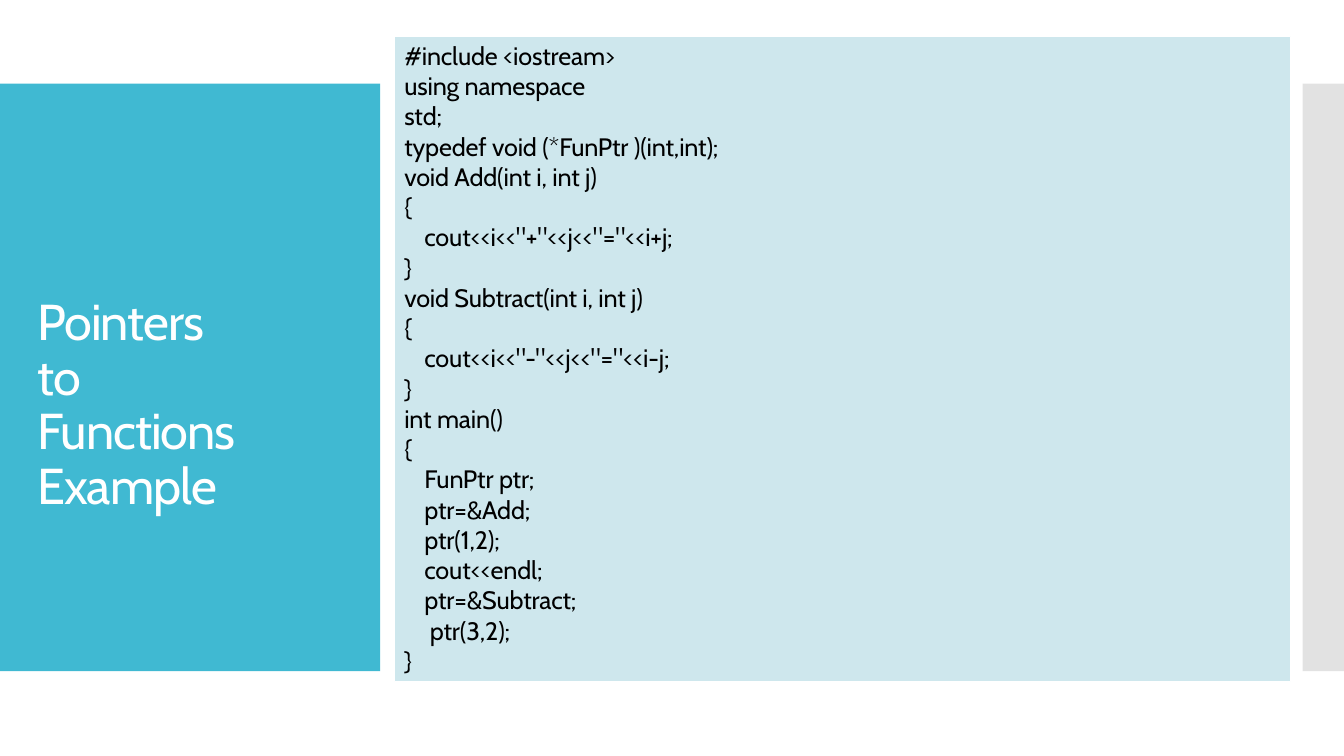
from dataclasses import dataclass

from lxml.etree import SubElement
from pptx import Presentation
from pptx.dml.color import RGBColor as RGB
from pptx.enum.shapes import MSO_SHAPE as Shape
from pptx.oxml.ns import qn
from pptx.util import Inches, Pt


@dataclass(frozen=True)
class Theme:
    """Colours, font and type sizes of the slide."""
    font: str = "Cabin"
    title_size: int = 36
    code_size: int = 18
    accent: str = "40B9D2"
    edge: str = "C7C7C7"
    panel: str = "CEE7ED"
    white: str = "FFFFFF"
    black: str = "000000"


class SlideBuilder:
    """Draws styled elements on the current slide."""

    def __init__(self, slide, theme):
        self.s = slide
        self.theme = theme

    def block(self, x, y, w, h, color, alpha=None, line=None):
        """Add a filled rectangle, optionally translucent or outlined."""
        sp = self.s.shapes.add_shape(Shape.RECTANGLE, Inches(x), Inches(y), Inches(w), Inches(h))
        sp.shadow.inherit = False
        sp.fill.solid()
        sp.fill.fore_color.rgb = RGB.from_string(color)
        if alpha is not None:
            clr = sp._element.spPr.find(qn("a:solidFill"))[0]
            SubElement(clr, qn("a:alpha"), val=str(alpha * 1000))
        if line:
            sp.line.color.rgb = RGB.from_string(line)
            sp.line.width = Pt(1)
        else:
            sp.line.fill.background()

    def text(self, x, y, w, h, lines, size, color, top=0.02, spacing=None, tracking=-0.1):
        """Add a text box from (indent, text) lines."""
        tf = self.s.shapes.add_textbox(Inches(x), Inches(y), Inches(w), Inches(h)).text_frame
        tf.word_wrap = True
        tf.margin_left = tf.margin_right = tf.margin_bottom = 0
        tf.margin_top = Inches(top)
        for i, (indent, line) in enumerate(lines):
            p = tf.add_paragraph() if i else tf.paragraphs[0]
            p.text = line
            p._p.get_or_add_pPr().set("marL", str(Inches(indent)))
            if spacing:
                p.line_spacing = Pt(spacing)
            p.font.name = self.theme.font
            p.font.size = Pt(size)
            p.font.color.rgb = RGB.from_string(color)
            for r in p.runs:
                r._r.get_or_add_rPr().set("spc", str(round(tracking * 100)))

    def code(self, y, w, h, lines):
        """Add a block of code lines on the panel."""
        self.text(4, y, w, h, lines, self.theme.code_size, self.theme.black)


MARGIN, BODY = 0.01, 0.21
PROGRAM = [
    (MARGIN, "typedef void (*FunPtr )(int,int);"),
    (MARGIN, "void Add(int i, int j)"),
    (MARGIN, "{"),
    (BODY, 'cout<<i<<"+"<<j<<"="<<i+j;'),
    (MARGIN, "}"),
    (MARGIN, "void Subtract(int i, int j)"),
    (MARGIN, "{"),
    (BODY, 'cout<<i<<"-"<<j<<"="<<i-j;'),
    (MARGIN, "}"),
    (MARGIN, "int main()"),
    (MARGIN, "{"),
    (BODY, "FunPtr ptr;"),
    (BODY, "ptr=&Add;"),
    (BODY, "ptr(1,2);"),
    (BODY, "cout<<endl;"),
    (BODY, "ptr=&Subtract;"),
    (BODY, " ptr(3,2);"),
    (MARGIN, "}"),
]


def main():
    """Build and save the slide."""
    prs = Presentation()
    prs.slide_width, prs.slide_height = Inches(13.33), Inches(7.5)
    theme = Theme()
    b = SlideBuilder(prs.slides.add_slide(prs.slide_layouts[6]), theme)
    b.block(0, 0.83, 3.77, 5.83, theme.accent)
    b.block(12.92, 0.83, 0.41, 5.83, theme.edge, alpha=50)
    b.text(0.36, 2.83, 2.18, 2.27, [(MARGIN, "Pointers\vto\vFunctions\vExample")],
           theme.title_size, theme.white, top=0.11, spacing=38.9, tracking=-0.7)
    b.block(3.91, 0.36, 8.89, 6.4, theme.panel, line=theme.white)
    b.code(0.38, 2.16, 0.33, [(MARGIN, "#include <iostream>")])
    b.code(0.68, 2.24, 0.63, [(MARGIN, "using namespace\vstd;")])
    b.code(1.28, 3.24, 5.43, PROGRAM)
    prs.save("out.pptx")


if __name__ == "__main__":
    main()
